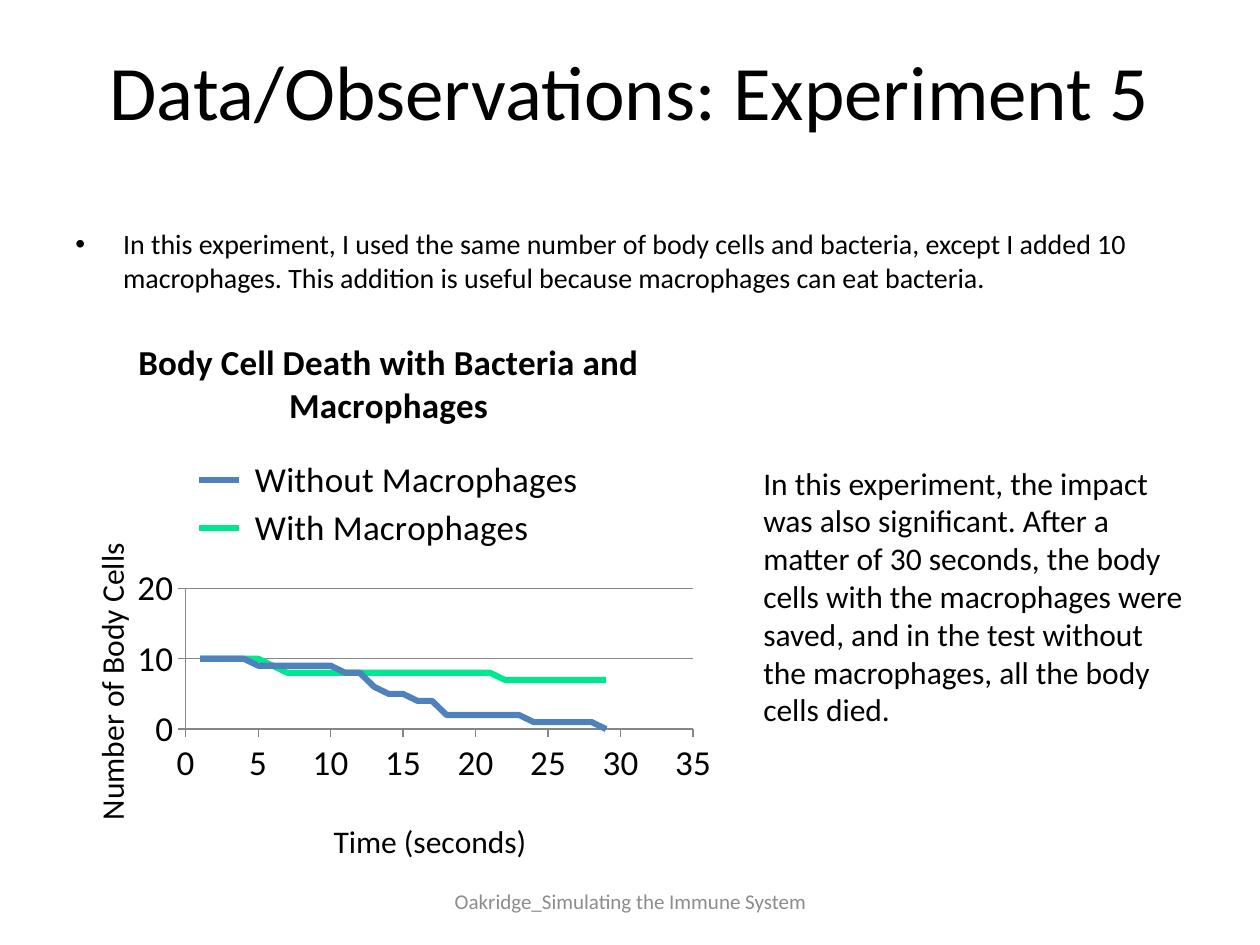
from lxml.etree import SubElement
from pptx import Presentation
from pptx.chart.data import XyChartData
from pptx.dml.color import RGBColor
from pptx.enum.chart import XL_CHART_TYPE, XL_LEGEND_POSITION, XL_TICK_LABEL_POSITION, XL_TICK_MARK
from pptx.enum.text import MSO_ANCHOR, PP_ALIGN
from pptx.oxml.ns import qn
from pptx.util import Inches, Pt

BLACK, GRAY, AXIS_GRAY = "000000", "8C8C8C", "868686"
CELL_RUNS = {
    " Without Macrophages": ("4F81BD", [(10, 4), (9, 6), (8, 2), (6, 1), (5, 2), (4, 2),
                                        (2, 6), (1, 5), (0, 1)]),
    " With Macrophages": ("00E88F", [(10, 5), (9, 1), (8, 15), (7, 8)]),
}


def color(value):
    """Turn a hex string into a colour."""
    return RGBColor.from_string(value)


def set_attributes(target, values):
    """Set each named attribute of the target."""
    for name, value in values.items():
        setattr(target, name, value)


def format_font(font, size, fill=BLACK, bold=False):
    """Set face, size, weight and colour of a font."""
    set_attributes(font, {"name": "Calibri", "size": Pt(size), "bold": bold})
    font.color.rgb = color(fill)


def format_line(line, fill, width):
    """Set colour and width of a line."""
    line.color.rgb = color(fill)
    line.width = Pt(width)


def add_text(slide, box, text, size, fill=BLACK, align=PP_ALIGN.LEFT, anchor=MSO_ANCHOR.TOP):
    """Add a wrapped text box and return its paragraph."""
    frame = slide.shapes.add_textbox(*map(Inches, box)).text_frame
    set_attributes(frame, {"word_wrap": True, "vertical_anchor": anchor})
    paragraph = frame.paragraphs[0]
    paragraph.alignment = align
    run = paragraph.add_run()
    run.text = text
    format_font(run.font, size, fill)
    return paragraph


def add_bullet_text(slide, box, text, size):
    """Add a text box whose paragraph has a hanging bullet."""
    properties = add_text(slide, box, text, size)._p.get_or_add_pPr()
    properties.set("marL", str(Inches(0.38)))
    properties.set("indent", str(Inches(-0.38)))
    SubElement(properties, qn("a:buFont"), typeface="Arial")
    SubElement(properties, qn("a:buChar"), char="•")


def place_part(element, index, inner=False, **fractions):
    """Give a chart part a manual layout in fractions of the chart."""
    for old in element.findall(qn("c:layout")):
        element.remove(old)
    layout = SubElement(element, qn("c:layout"))
    manual = SubElement(layout, qn("c:manualLayout"))
    if inner:
        SubElement(manual, qn("c:layoutTarget"), val="inner")
    for name in ("x", "y"):
        SubElement(manual, qn(f"c:{name}Mode"), val="edge")
    for name, value in fractions.items():
        SubElement(manual, qn(f"c:{name}"), val=str(value))
    element.insert(index, layout)


def format_title(title, text, size, bold=False):
    """Write a chart or axis title."""
    title.text_frame.text = text
    format_font(title.text_frame.paragraphs[0].runs[0].font, size, bold=bold)


def format_axis(axis, title, maximum, step, gridlines, x, y):
    """Set scale, labels and title of an axis."""
    set_attributes(axis, {
        "minimum_scale": 0, "maximum_scale": maximum, "major_unit": step,
        "has_major_gridlines": gridlines, "major_tick_mark": XL_TICK_MARK.OUTSIDE,
        "minor_tick_mark": XL_TICK_MARK.NONE,
        "tick_label_position": XL_TICK_LABEL_POSITION.NEXT_TO_AXIS})
    format_font(axis.tick_labels.font, 20)
    format_line(axis.format.line, AXIS_GRAY, 0.75)
    if gridlines:
        format_line(axis.major_gridlines.format.line, AXIS_GRAY, 0.75)
    format_title(axis.axis_title, title, 18)
    place_part(axis.axis_title._element, 1, x=x, y=y)


def add_cell_chart(slide, box):
    """Add the smooth scatter chart of body cells over time."""
    data = XyChartData()
    for name, (_, cell_runs) in CELL_RUNS.items():
        series = data.add_series(name)
        counts = [count for count, length in cell_runs for _ in range(length)]
        for second, count in enumerate(counts, 1):
            series.add_data_point(second, count)
    chart = slide.shapes.add_chart(
        XL_CHART_TYPE.XY_SCATTER_SMOOTH_NO_MARKERS, *map(Inches, box), data).chart
    format_font(chart.font, 10)
    set_attributes(chart, {"has_title": True, "has_legend": True})
    format_title(chart.chart_title, "Body Cell Death with Bacteria and Macrophages", 20, True)
    set_attributes(chart.legend, {"position": XL_LEGEND_POSITION.TOP, "include_in_layout": False})
    format_font(chart.legend.font, 20)
    place_part(chart.legend._element, 1, x=0.21, y=0.25, w=0.58, h=0.18)
    format_axis(chart.category_axis, "Time (seconds)", 35, 5, False, 0.41, 0.89)
    format_axis(chart.value_axis, "Number of Body Cells", 20, 10, True, 0.05, 0.4)
    place_part(chart._chartSpace.chart.plotArea, 0, True, x=0.2, y=0.49, w=0.75, h=0.25)
    chart.plots[0].vary_by_categories = False
    for series, (fill, _) in zip(chart.plots[0].series, CELL_RUNS.values()):
        series.smooth = True
        format_line(series.format.line, fill, 3.5)


def main():
    """Build and save the slide."""
    presentation = Presentation()
    set_attributes(presentation, {"slide_width": Inches(10), "slide_height": Inches(7.5)})
    slide = presentation.slides.add_slide(presentation.slide_layouts[6])
    add_text(slide, (0.5, 0.3, 9, 1.25), "Data/Observations: Experiment 5", 44,
             align=PP_ALIGN.CENTER)
    add_bullet_text(slide, (0.5, 1.75, 9, 4.95),
                    "In this experiment, I used the same number of body cells and bacteria, "
                    "except I added 10 macrophages. This addition is useful because "
                    "macrophages can eat bacteria.", 16)
    add_text(slide, (3.42, 6.95, 3.17, 0.4), "Oakridge_Simulating the Immune System", 12,
             GRAY, PP_ALIGN.CENTER, MSO_ANCHOR.MIDDLE)
    add_cell_chart(slide, (0.4, 2.48, 5.37, 4.47))
    add_text(slide, (5.96, 3.63, 3.54, 2.22),
             "In this experiment, the impact was also significant. After a matter of 30 "
             "seconds, the body cells with the macrophages were saved, and in the test "
             "without the macrophages, all the body cells died.", 18)
    presentation.save("out.pptx")


if __name__ == "__main__":
    main()
